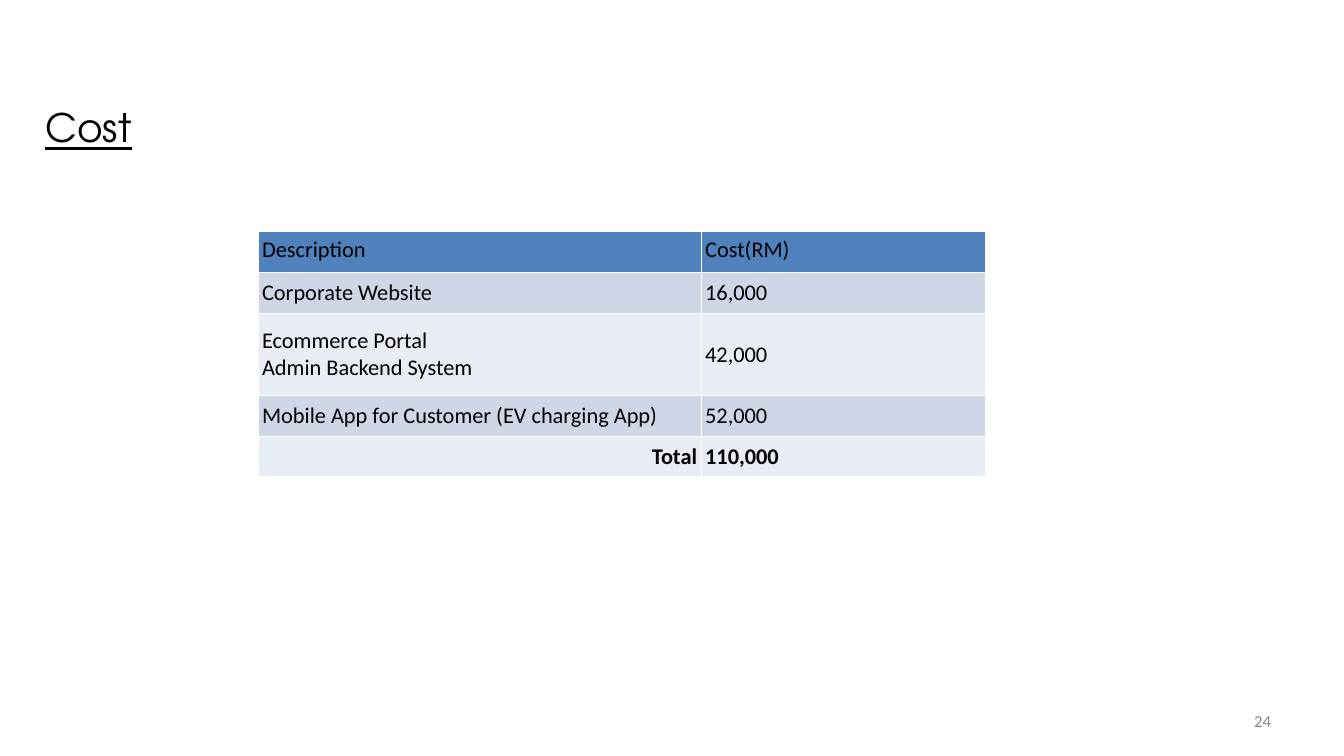
from pptx import Presentation
from pptx.dml.color import RGBColor
from pptx.enum.text import MSO_ANCHOR, MSO_AUTO_SIZE, PP_ALIGN
from pptx.util import Pt

LEFT, RIGHT = PP_ALIGN.LEFT, PP_ALIGN.RIGHT
TOP, MIDDLE = MSO_ANCHOR.TOP, MSO_ANCHOR.MIDDLE
NO_FIT = MSO_AUTO_SIZE.NONE
TITLE_ONLY = 5

# Content
HEADING = "Cost"
PAGE_NUMBER = "24"
COSTS = [
    ("Description", "Cost(RM)"),
    ("Corporate Website", "16,000"),
    ("Ecommerce Portal\nAdmin Backend System", "42,000"),
    ("Mobile App for Customer (EV charging App)", "52,000"),
    ("Total", "110,000"),
]

# Layout in points
SLIDE_SIZE = (960, 540)
HEADING_BOX = (28.8, 69.8, 755.3, 41)
PAGE_BOX = (891.4, 505.4, 20.2, 19.4)
TABLE_ORIGIN = (184.3, 165.6)
COLUMN_WIDTHS = (316.5, 203.4)
LINE_HEIGHT = 29.2
CELL_INSET = 2.9
BOX_INSET = 3.6

HEADER_FILL = "4F81BD"
BAND_FILLS = ("E8ECF4", "CFD7E7")


def color(hex_code):
    return RGBColor.from_string(hex_code)


def write(frame, text, size=16, font="Calibri", ink="000000", bold=False,
          underline=False, align=LEFT):
    frame.text = text
    for paragraph in frame.paragraphs:
        paragraph.alignment = align
        for run in paragraph.runs:
            run.font.size = Pt(size)
            run.font.name = font
            run.font.bold = bold
            run.font.underline = underline
            run.font.color.rgb = color(ink)


def set_insets(target, inset, anchor):
    target.margin_left = target.margin_right = Pt(inset)
    target.margin_top = target.margin_bottom = Pt(inset)
    target.vertical_anchor = anchor


def main():
    deck = Presentation()
    deck.slide_width, deck.slide_height = map(Pt, SLIDE_SIZE)
    slide = deck.slides.add_slide(deck.slide_layouts[TITLE_ONLY])

    # Page number
    page = slide.shapes.add_textbox(*map(Pt, PAGE_BOX)).text_frame
    page.word_wrap = False
    set_insets(page, BOX_INSET, MIDDLE)
    write(page, PAGE_NUMBER, size=12, ink="888888", align=RIGHT)

    # Cost table: a row is as tall as its number of lines
    row_heights = [LINE_HEIGHT * (1 + label.count("\n")) for label, _ in COSTS]
    size = (sum(COLUMN_WIDTHS), sum(row_heights))
    costs = slide.shapes.add_table(len(COSTS), len(COLUMN_WIDTHS),
                                   *map(Pt, TABLE_ORIGIN + size)).table
    for column, width in zip(costs.columns, COLUMN_WIDTHS):
        column.width = Pt(width)
    total_row = len(COSTS) - 1
    for r, entries in enumerate(COSTS):
        costs.rows[r].height = Pt(row_heights[r])
        for c, entry in enumerate(entries):
            cell = costs.cell(r, c)
            set_insets(cell, CELL_INSET, MIDDLE if r else TOP)
            cell.fill.solid()
            cell.fill.fore_color.rgb = color(BAND_FILLS[r % 2] if r else HEADER_FILL)
            is_total = r == total_row
            write(cell.text_frame, entry, bold=is_total,
                  align=RIGHT if is_total and c == 0 else LEFT)

    # Heading
    heading = slide.shapes.title
    heading.left, heading.top, heading.width, heading.height = map(Pt, HEADING_BOX)
    heading.text_frame.auto_size = NO_FIT
    heading.text_frame.word_wrap = True
    set_insets(heading.text_frame, BOX_INSET, MIDDLE)
    write(heading.text_frame, HEADING, size=28, font="TeX Gyre Adventor",
          underline=True)

    deck.save("out.pptx")


if __name__ == "__main__":
    main()
